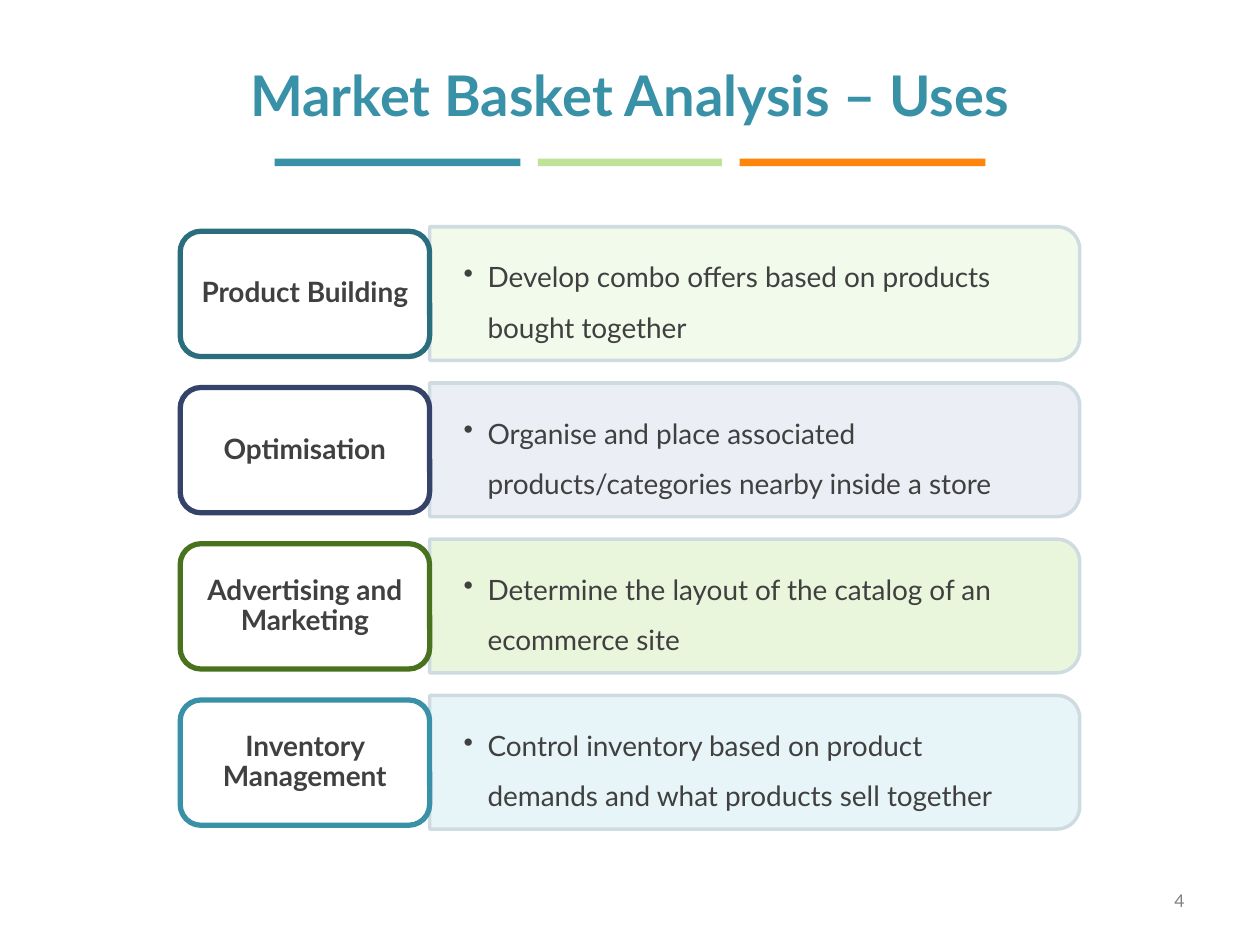
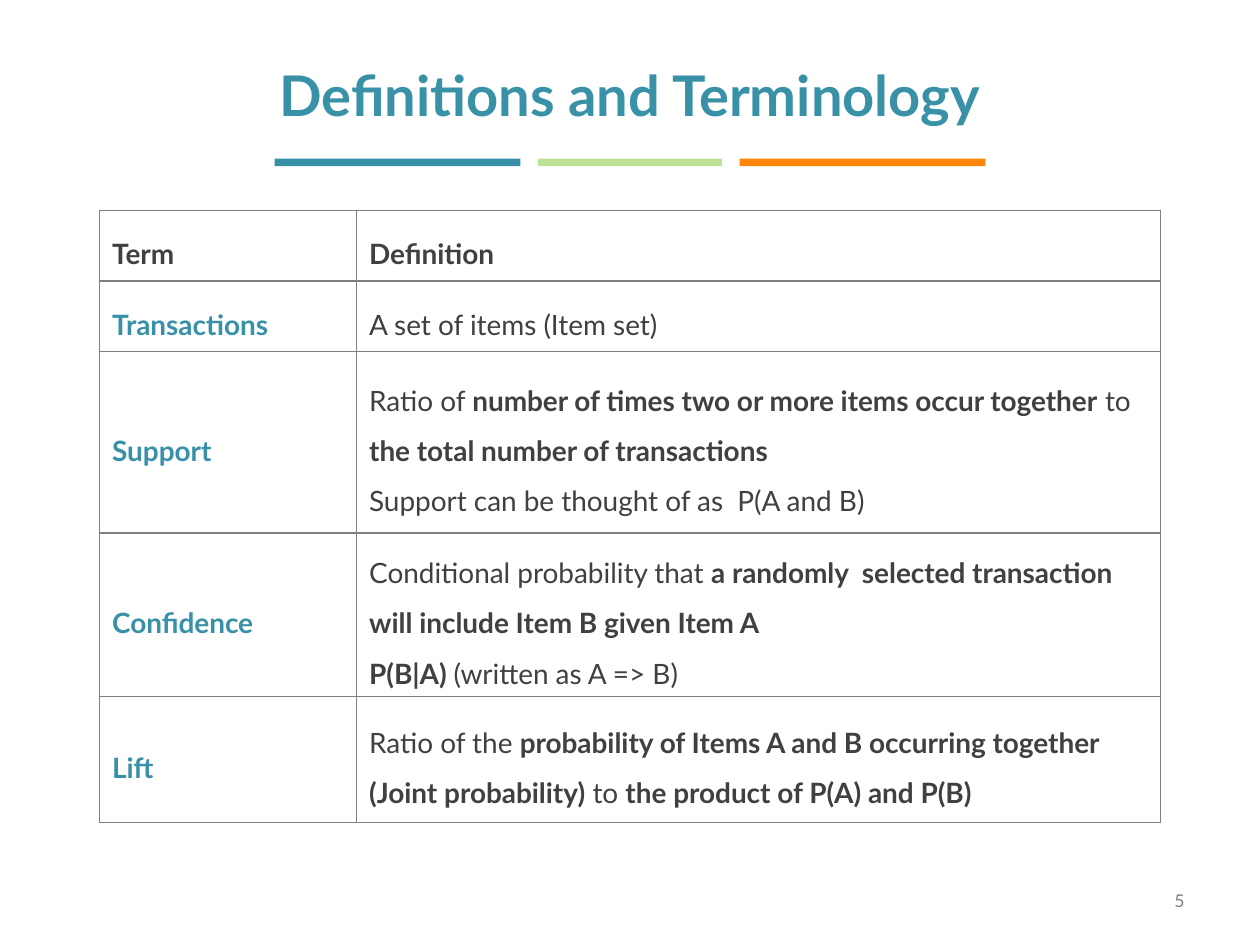
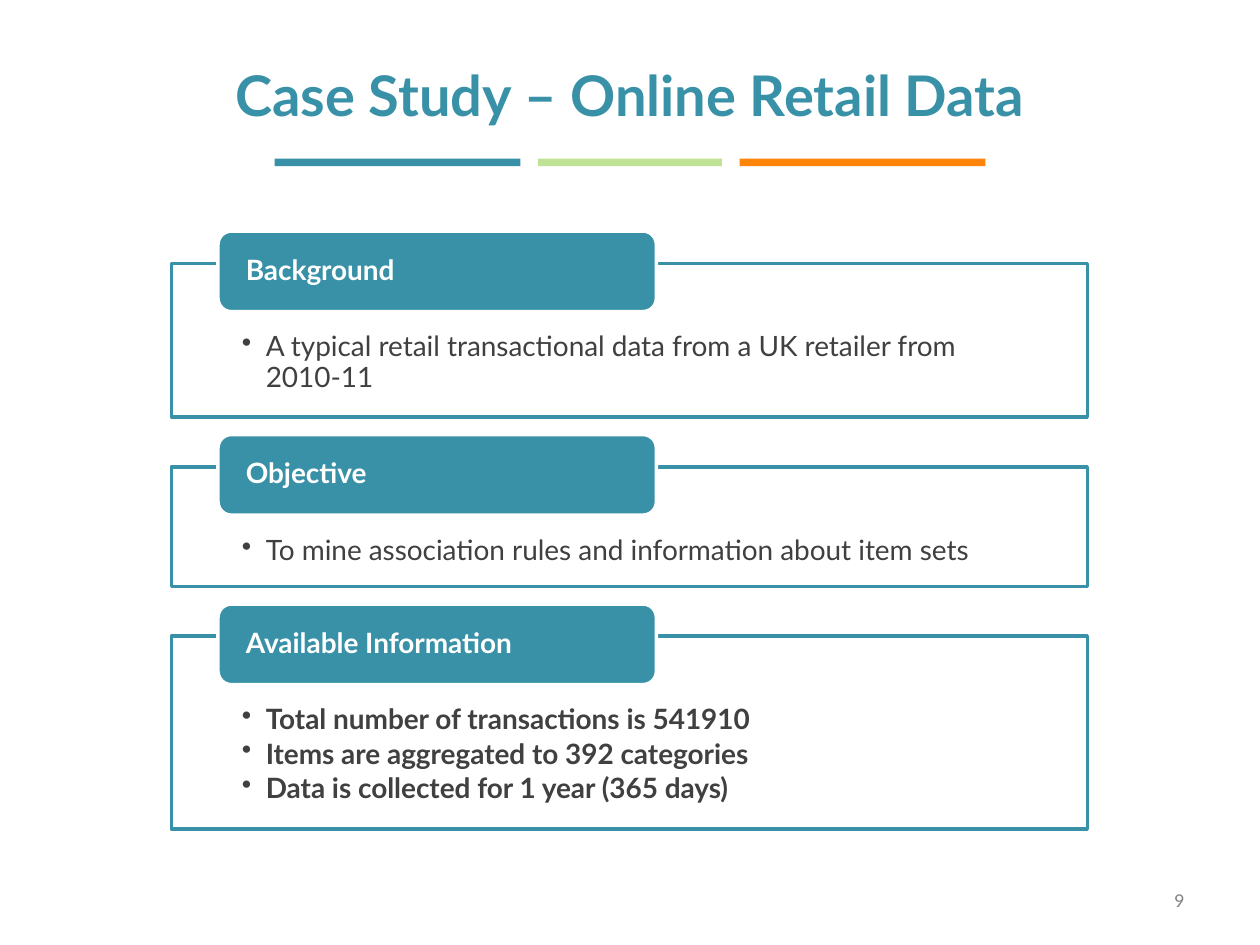
from dataclasses import dataclass
from math import cos, pi, sin

from lxml.etree import SubElement
from pptx import Presentation
from pptx.dml.color import RGBColor
from pptx.enum.shapes import MSO_SHAPE as Shape
from pptx.enum.text import MSO_ANCHOR as Anchor, PP_ALIGN as Align
from pptx.oxml.ns import qn
from pptx.util import Inches, Pt

COLS, ROWS = 100, 75  # slide grid
TITLE_ONLY = 5


@dataclass(frozen=True)
class Theme:
    font: str = "Lato"
    teal: str = "3891A7"
    lime: str = "BEE396"
    orange: str = "FF850A"
    ink: str = "404040"
    grey: str = "808080"
    mist: str = "CEDCE1"
    white: str = "FFFFFF"
    title: int = 32
    body: int = 16
    small: int = 10


def rgb(value):
    return RGBColor.from_string(value)


class Deck:
    def __init__(self, theme):
        self.theme = theme
        self.prs = Presentation()
        self.prs.slide_width, self.prs.slide_height = Inches(10), Inches(7.5)
        self.slide = None

    def x(self, cols):
        return round(self.prs.slide_width * cols / COLS)

    def y(self, rows):
        return round(self.prs.slide_height * rows / ROWS)

    def box(self, left, top, width, height):
        return self.x(left), self.y(top), self.x(width), self.y(height)

    # Slide with title, colour bands and page number
    def start(self, title, number):
        t = self.theme
        self.slide = self.prs.slides.add_slide(self.prs.slide_layouts[TITLE_ONLY])
        sp = self.slide.shapes.title
        sp.left, sp.top, sp.width, sp.height = self.box(5, 3, 90, 8.9)
        self.put_text(sp, [title], size=t.title, color=t.teal, bold=True, align=Align.CENTER)
        left = 21.8
        for width, color in ((19.5, t.teal), (14.6, t.lime), (19.5, t.orange)):
            self.shape(Shape.RECTANGLE, (left, 12.6, width, 0.6), fill=color)
            left += width + 1.4
        page = self.slide.shapes.add_textbox(*self.box(71.7, 69.5, 23.3, 4))
        self.put_text(page, [str(number)], size=t.small, color=t.grey, align=Align.RIGHT)

    # Text: parts between ** marks are bold
    def put_text(self, sp, lines, insets=(1, 0.5, 1, 0.5), anchor=Anchor.MIDDLE, **style):
        tf = sp.text_frame
        tf.word_wrap = True
        tf.vertical_anchor = anchor
        tf.margin_left, tf.margin_top = self.x(insets[0]), self.y(insets[1])
        tf.margin_right, tf.margin_bottom = self.x(insets[2]), self.y(insets[3])
        self.fill_paragraphs(tf, lines, **style)

    def fill_paragraphs(self, tf, lines, size=None, color=None, bold=False,
                        align=Align.LEFT, spacing=1.0, after=0, bullet=False):
        for i, line in enumerate(lines):
            p = tf.add_paragraph() if i else tf.paragraphs[0]
            p.alignment, p.line_spacing, p.space_after = align, spacing, Pt(after)
            if bullet:
                pPr = p._p.get_or_add_pPr()
                pPr.set("marL", str(self.x(1.9)))
                pPr.set("indent", str(-self.x(1.9)))
                SubElement(pPr, qn("a:buChar")).set("char", "•")
            for k, part in enumerate(line.split("**")):
                if not part:
                    continue
                r = p.add_run()
                r.text = part
                r.font.name = self.theme.font
                r.font.size = Pt(size or self.theme.body)
                r.font.bold = bold or k % 2 == 1
                r.font.color.rgb = rgb(color or self.theme.ink)

    def paint(self, sp, fill=None, line=None, weight=2):
        sp.shadow.inherit = False
        if fill:
            sp.fill.solid()
            sp.fill.fore_color.rgb = rgb(fill)
        else:
            sp.fill.background()
        if line:
            sp.line.color.rgb = rgb(line)
            sp.line.width = Pt(weight)
        else:
            sp.line.fill.background()
        return sp

    def shape(self, kind, box, **look):
        return self.paint(self.slide.shapes.add_shape(kind, *self.box(*box)), **look)

    # Panel whose two right corners are round
    def panel(self, box, radius=1.8, steps=12, **look):
        left, top, width, height = box
        right, bottom = left + width, top + height
        points = []
        for cy, angle in ((top + radius, -pi / 2), (bottom - radius, 0)):
            for i in range(steps + 1):
                a = angle + pi / 2 * i / steps
                points.append((self.x(right - radius + radius * cos(a)),
                               self.y(cy + radius * sin(a))))
        points.append((self.x(left), self.y(bottom)))
        fb = self.slide.shapes.build_freeform(self.x(left), self.y(top))
        fb.add_line_segments(points, close=True)
        return self.paint(fb.convert_to_shape(), **look)

    # Table with plain cells and thin grey rules
    def table(self, box, widths, heights, rows):
        t = self.theme
        tbl = self.slide.shapes.add_table(len(rows), len(widths), *self.box(*box)).table
        for col, width in zip(tbl.columns, widths):
            col.width = self.x(width)
        for i, (height, texts) in enumerate(zip(heights, rows)):
            tbl.rows[i].height = self.y(height)
            for j, lines in enumerate(texts):
                cell = tbl.cell(i, j)
                cell.vertical_anchor = Anchor.MIDDLE
                term = i > 0 and j == 0
                self.fill_paragraphs(cell.text_frame, lines, spacing=1.5,
                                     bold=i == 0 or term, color=t.teal if term else t.ink)
                self.rule(cell)
                cell.fill.background()

    def rule(self, cell):
        tcPr = cell._tc.get_or_add_tcPr()
        for side in ("lnL", "lnR", "lnT", "lnB"):
            ln = SubElement(tcPr, qn(f"a:{side}"), w=str(Pt(1)))
            solid = SubElement(ln, qn("a:solidFill"))
            SubElement(solid, qn("a:srgbClr"), val=self.theme.grey)


USES = [
    ("Product Building", "2A6D7D", "F2FAEC",
     "Develop combo offers based on products bought together"),
    ("Optimisation", "35436A", "EBEEF5",
     "Organise and place associated products/categories nearby inside a store"),
    ("Advertising and Marketing", "49721E", "E9F6DC",
     "Determine the layout of the catalog of an ecommerce site"),
    ("Inventory Management", "3891A7", "E8F5F8",
     "Control inventory based on product demands and what products sell together"),
]

TERMS = [
    (["Term"], ["Definition"]),
    (["Transactions"], ["A set of items (Item set)"]),
    (["Support"],
     ["Ratio of **number of times two or more items occur together** to "
      "**the total number of transactions**",
      "Support can be thought of as  P(A and B)"]),
    (["Confidence"],
     ["Conditional probability that **a randomly  selected transaction "
      "will include Item B given Item A**",
      "**P(B|A) **(written as A => B)"]),
    (["Lift"],
     ["Ratio of the **probability of Items A and B occurring together "
      "(Joint probability)** to **the product of P(A) and P(B)**"]),
]

CASE = [
    ("Background", 12.2,
     ["A typical retail transactional data from a UK retailer from 2010-11"]),
    ("Objective", 9.5, ["To mine association rules and information about item sets"]),
    ("Available Information", 15.3,
     ["**Total number of transactions is 541910**",
      "**Items are aggregated to 392 categories**",
      "**Data is collected for 1 year (365 days)**"]),
]


def uses_slide(deck):
    deck.start("Market Basket Analysis – Uses", 4)
    for i, (name, edge, tint, use) in enumerate(USES):
        top = 18 + 12.4 * i
        sp = deck.panel((34.1, top, 51.6, 10.6), fill=tint, line=deck.theme.mist)
        deck.put_text(sp, [use], insets=(2.7, 1.9, 3.3, 1.9), spacing=1.5, after=2.4,
                      bullet=True)
        sp = deck.shape(Shape.ROUNDED_RECTANGLE, (14.3, top + 0.35, 19.8, 9.95),
                        line=edge, weight=3)
        deck.put_text(sp, [name], insets=(0.7, 0.3, 0.7, 0.3), bold=True,
                      align=Align.CENTER, spacing=0.9)


def terms_slide(deck):
    deck.start("Definitions and Terminology", 5)
    deck.table((7.9, 16.7, 84.2, 48.1), (20.4, 63.8), (5.6, 5.6, 14.4, 10, 10), TERMS)


def case_slide(deck):
    t = deck.theme
    deck.start("Case Study – Online Retail Data", 9)
    top = 20.9
    for name, height, facts in CASE:
        sp = deck.shape(Shape.RECTANGLE, (13.6, top, 72.7, height), fill=t.white, line=t.teal)
        deck.put_text(sp, facts, insets=(5.6, 5.5, 5.6, 1.2), anchor=Anchor.TOP,
                      spacing=0.9, after=2.4, bullet=True)
        sp = deck.shape(Shape.ROUNDED_RECTANGLE, (17.3, top - 2.56, 34.8, 6.4),
                        fill=t.teal, line=t.white)
        deck.put_text(sp, [name], insets=(1.9, 0, 1.9, 0), color=t.white, bold=True,
                      spacing=0.9)
        top += height + 3.95


def main():
    deck = Deck(Theme())
    for build in (uses_slide, terms_slide, case_slide):
        build(deck)
    deck.prs.save("out.pptx")


if __name__ == "__main__":
    main()
